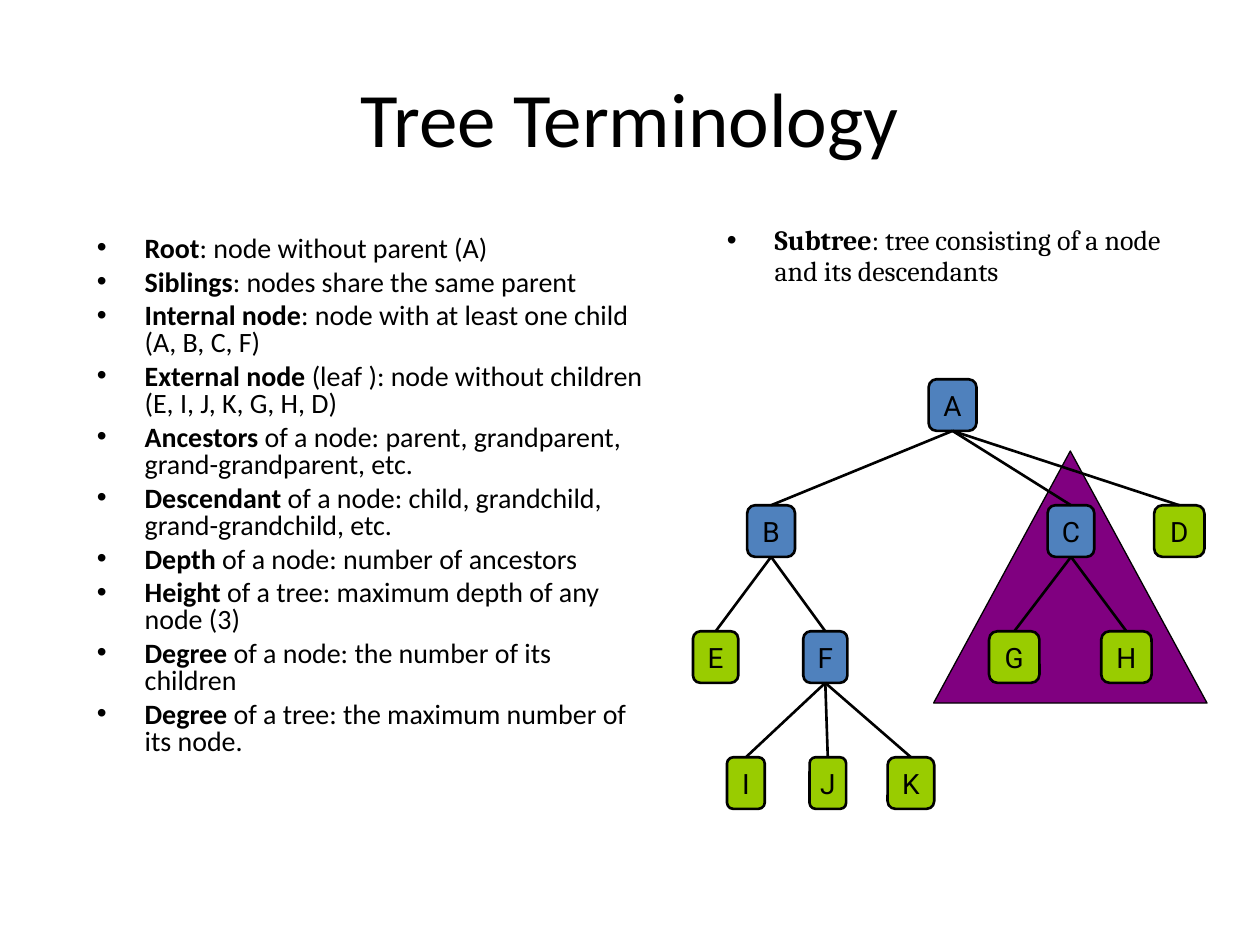
"""Build the Tree Terminology slide."""
from lxml import etree
from pptx import Presentation
from pptx.dml.color import RGBColor
from pptx.enum import shapes, text
from pptx.oxml import ns
from pptx.util import Inches, Pt

BLACK = RGBColor(0x00, 0x00, 0x00)
BLUE = RGBColor(0x4F, 0x81, 0xBD)
GREEN = RGBColor(0x99, 0xCC, 0x00)
PURPLE = RGBColor(0x80, 0x00, 0x80)

TITLE = "Tree Terminology"
TERMS = [
    ("Root", ": node without parent (A)"),
    ("Siblings", ": nodes share the same parent"),
    ("Internal node", ": node with at least one child (A, B, C, F)"),
    ("External node", " (leaf ): node without children (E, I, J, K, G, H, D)"),
    ("Ancestors", " of a node: parent, grandparent, grand-grandparent, etc."),
    ("Descendant", " of a node: child, grandchild, grand-grandchild, etc."),
    ("Depth", " of a node: number of ancestors"),
    ("Height", " of a tree: maximum depth of any node (3)"),
    ("Degree", " of a node: the number of its children"),
    ("Degree", " of a tree: the maximum number of its node."),
]
SUBTREE = [("Subtree", ": tree consisting of a node and its descendants")]

# name: (depth, centre, width)
NODES = {
    "A": (0, 7.56, 0.38),
    "B": (1, 6.12, 0.38), "C": (1, 8.5, 0.37), "D": (1, 9.36, 0.4),
    "E": (2, 5.68, 0.36), "F": (2, 6.55, 0.35),
    "G": (2, 8.05, 0.4), "H": (2, 8.94, 0.4),
    "I": (3, 5.92, 0.3), "J": (3, 6.57, 0.29), "K": (3, 7.23, 0.37),
}
CHILDREN = {"A": "BCD", "B": "EF", "C": "GH", "F": "IJK"}
TREE_TOP, LEVEL_GAP, NODE_HEIGHT = 3.01, 1, 0.41


def write(para, words, font="Calibri", size=16, bold=False):
    span = para.add_run()
    span.text = words
    span.font.name = font
    span.font.size = Pt(size)
    span.font.bold = bold
    span.font.color.rgb = BLACK


def add_box(page, left, top, width, height):
    box = page.shapes.add_textbox(*map(Inches, (left, top, width, height)))
    box.text_frame.word_wrap = True
    return box.text_frame


def add_bullets(frame, items, spacing, font):
    for index, (term, meaning) in enumerate(items):
        para = frame.add_paragraph() if index else frame.paragraphs[0]
        para.line_spacing = spacing
        para.space_before = Pt(4 if index else 0)
        props = para._p.get_or_add_pPr()
        props.set("marL", str(Inches(0.38)))
        props.set("indent", str(-Inches(0.38)))
        etree.SubElement(props, ns.qn("a:buFont"), typeface="Arial")
        etree.SubElement(props, ns.qn("a:buChar"), char="•")
        write(para, term, font=font, bold=True)
        write(para, meaning, font=font)


def add_outlined(page, kind, left, top, width, height, fill, weight):
    shape = page.shapes.add_shape(kind, *map(Inches, (left, top, width, height)))
    shape.shadow.inherit = False
    shape.fill.solid()
    shape.fill.fore_color.rgb = fill
    shape.line.color.rgb = BLACK
    shape.line.width = Pt(weight)
    return shape


def add_node(page, name):
    depth, centre, width = NODES[name]
    node = add_outlined(
        page, shapes.MSO_SHAPE.ROUNDED_RECTANGLE, centre - width / 2,
        TREE_TOP + depth * LEVEL_GAP, width, NODE_HEIGHT,
        BLUE if name in CHILDREN else GREEN, 1.5)
    frame = node.text_frame
    frame.word_wrap = False
    frame.vertical_anchor = text.MSO_ANCHOR.MIDDLE
    frame.paragraphs[0].alignment = text.PP_ALIGN.CENTER
    write(frame.paragraphs[0], name, font="Roboto")
    return node


def add_branch(page, parent, child):
    branch = page.shapes.add_connector(shapes.MSO_CONNECTOR.STRAIGHT, 0, 0, 0, 0)
    branch.begin_connect(parent, 2)
    branch.end_connect(child, 0)
    branch.line.color.rgb = BLACK
    branch.line.width = Pt(1.5)
    etree.SubElement(branch._element.spPr, ns.qn("a:effectLst"))


def main():
    deck = Presentation()
    deck.slide_width, deck.slide_height = Inches(10), Inches(7.5)
    page = deck.slides.add_slide(deck.slide_layouts[6])

    add_outlined(page, shapes.MSO_SHAPE.ISOSCELES_TRIANGLE,
                 7.41, 3.58, 2.17, 2, PURPLE, 0.75)

    title = add_box(page, 0.5, 0.3, 9, 1.25)
    title.vertical_anchor = text.MSO_ANCHOR.MIDDLE
    title.paragraphs[0].alignment = text.PP_ALIGN.CENTER
    write(title.paragraphs[0], TITLE, size=44)

    add_bullets(add_box(page, 0.67, 1.83, 4.58, 5.17), TERMS, 0.8, "Calibri")

    nodes = {name: add_node(page, name) for name in NODES}
    for parent, names in CHILDREN.items():
        for child in names:
            add_branch(page, nodes[parent], nodes[child])

    add_bullets(add_box(page, 5.67, 1.75, 3.83, 1.08), SUBTREE, 0.9, "Cambria")
    deck.save("out.pptx")


if __name__ == "__main__":
    main()
